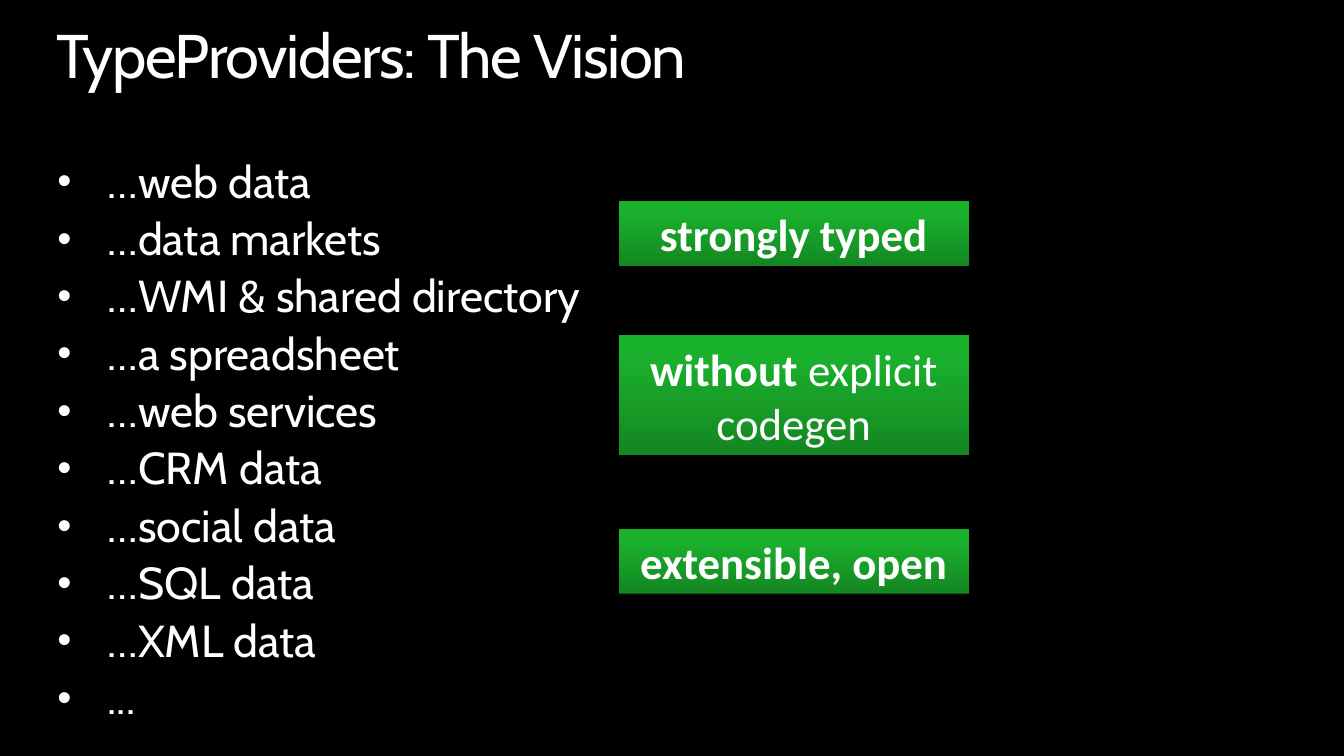
from copy import deepcopy
from dataclasses import dataclass

from pptx import Presentation
from pptx.dml.color import RGBColor
from pptx.enum.shapes import MSO_SHAPE as Preset
from pptx.enum.text import MSO_ANCHOR as Anchor, MSO_AUTO_SIZE as AutoSize, PP_ALIGN as Align
from pptx.oxml.ns import qn
from pptx.oxml.xmlchemy import OxmlElement
from pptx.util import Pt

COLORS = {
    "background": "000000",
    "text": "FFFFFF",
    "green_dark": "148722",
    "green": "1AAF2C",
    "green_bright": "18B32A",
    "shadow": "000000",
}
CALLOUT_GRADIENT = [(0, "green_dark"), (0.8, "green"), (1, "green_bright")]
CALLOUT_LEFT, CALLOUT_WIDTH = 442, 250
TITLE = "TypeProviders: The Vision"
DATA_SOURCES = [
    "…web data",
    "…data markets",
    "…WMI & shared directory",
    "…a spreadsheet",
    "…web services",
    "…CRM data",
    "…social data",
    "…SQL data",
    "…XML data",
    "...",
]


@dataclass(frozen=True)
class Callout:
    top: float
    height: float
    strong: str
    plain: str = ""


CALLOUTS = [
    Callout(144, 46, "strongly typed"),
    Callout(239.8, 85, "without ", "explicit codegen"),
    Callout(378, 46, "extensible, open"),
]


def color(name: str) -> RGBColor:
    return RGBColor.from_string(COLORS[name])


def add_element(parent, tag: str, **attributes):
    element = OxmlElement(tag)
    for name, value in attributes.items():
        element.set(name, str(value))
    parent.append(element)
    return element


def format_run(run, font_name: str, size: float, bold: bool = False) -> None:
    run.font.name = font_name
    run.font.size = Pt(size)
    run.font.bold = bold
    run.font.color.rgb = color("text")


def place(placeholder, left: float, top: float, width: float, height: float) -> None:
    """Move a placeholder and clear its margins and automatic fitting."""
    placeholder.left, placeholder.top = Pt(left), Pt(top)
    placeholder.width, placeholder.height = Pt(width), Pt(height)
    frame = placeholder.text_frame
    frame.margin_left = frame.margin_top = frame.margin_right = frame.margin_bottom = 0
    frame.vertical_anchor = Anchor.TOP
    frame.word_wrap = True
    frame.auto_size = AutoSize.NONE


def fill_title(title) -> None:
    place(title, 40.3, 18, 880, 48)
    title.text_frame.text = TITLE
    paragraph = title.text_frame.paragraphs[0]
    paragraph.alignment = Align.LEFT
    paragraph.line_spacing = 0.9
    run = paragraph.runs[0]
    format_run(run, "Cabin", 44)
    run.font._element.set("spc", "-100")


def fill_sources(body) -> None:
    place(body, 41, 113.8, 877.7, 461.5)
    frame = body.text_frame
    frame.text = "\n".join(DATA_SOURCES)
    for index, paragraph in enumerate(frame.paragraphs):
        properties = paragraph._p.get_or_add_pPr()
        properties.set("marL", str(Pt(36)))
        properties.set("indent", str(Pt(-36)))
        add_element(properties, "a:buSzPct", val=90000)
        add_element(properties, "a:buFont", typeface="Arial")
        add_element(properties, "a:buChar", char="•")
        paragraph.alignment = Align.LEFT
        paragraph.line_spacing = 0.9
        paragraph.space_before = Pt(6.4 if index else 0)
        format_run(paragraph.runs[0], "Cabin", 32)


def fill_gradient(shape) -> None:
    shape.fill.gradient()
    shape.fill.gradient_angle = 90
    stop_list = shape._element.spPr.find(".//" + qn("a:gsLst"))
    stop_list.append(deepcopy(stop_list[-1]))
    for stop, (position, name) in zip(shape.fill.gradient_stops, CALLOUT_GRADIENT):
        stop.position = position
        stop.color.rgb = color(name)


def add_shadow(shape) -> None:
    shape.shadow.inherit = False
    effects = shape._element.spPr.find(qn("a:effectLst"))
    shadow = add_element(effects, "a:outerShdw", blurRad=Pt(3.1), dist=Pt(1.8),
                         dir=5400000, rotWithShape=0)
    tint = add_element(shadow, "a:srgbClr", val=COLORS["shadow"])
    add_element(tint, "a:alpha", val=35000)


def add_callout(slide, callout: Callout) -> None:
    shape = slide.shapes.add_shape(
        Preset.RECTANGULAR_CALLOUT, Pt(CALLOUT_LEFT), Pt(callout.top),
        Pt(CALLOUT_WIDTH), Pt(callout.height))
    shape.adjustments[0], shape.adjustments[1] = -0.273, -0.505
    fill_gradient(shape)
    shape.line.fill.background()
    add_shadow(shape)

    frame = shape.text_frame
    frame.word_wrap = True
    frame.vertical_anchor = Anchor.MIDDLE
    paragraph = frame.paragraphs[0]
    paragraph.alignment = Align.CENTER
    for wording, bold in ((callout.strong, True), (callout.plain, False)):
        if wording:
            run = paragraph.add_run()
            run.text = wording
            format_run(run, "Calibri", 32, bold)


def main() -> None:
    deck = Presentation()
    deck.slide_width, deck.slide_height = Pt(960), Pt(540)
    slide = deck.slides.add_slide(deck.slide_layouts[1])
    slide.background.fill.solid()
    slide.background.fill.fore_color.rgb = color("background")

    fill_title(slide.shapes.title)
    fill_sources(slide.placeholders[1])
    for callout in CALLOUTS:
        add_callout(slide, callout)
    deck.save("out.pptx")


if __name__ == "__main__":
    main()
